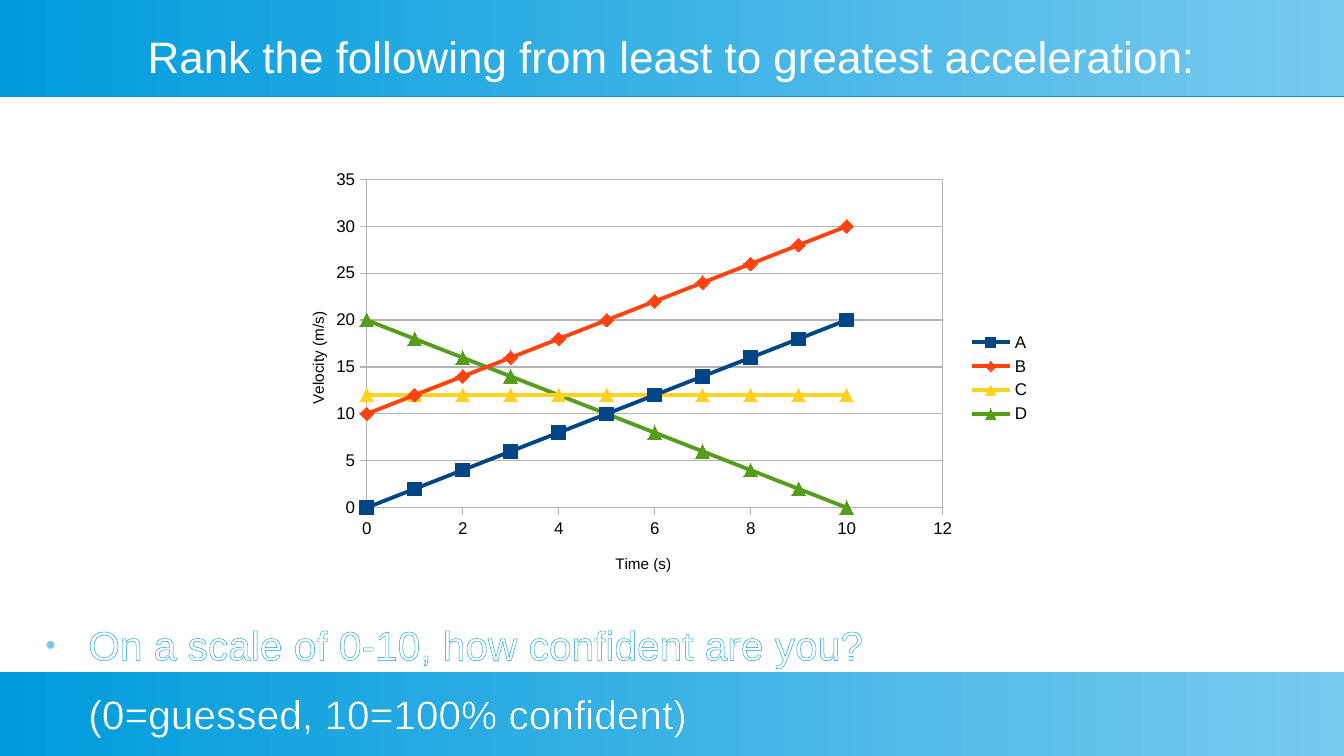
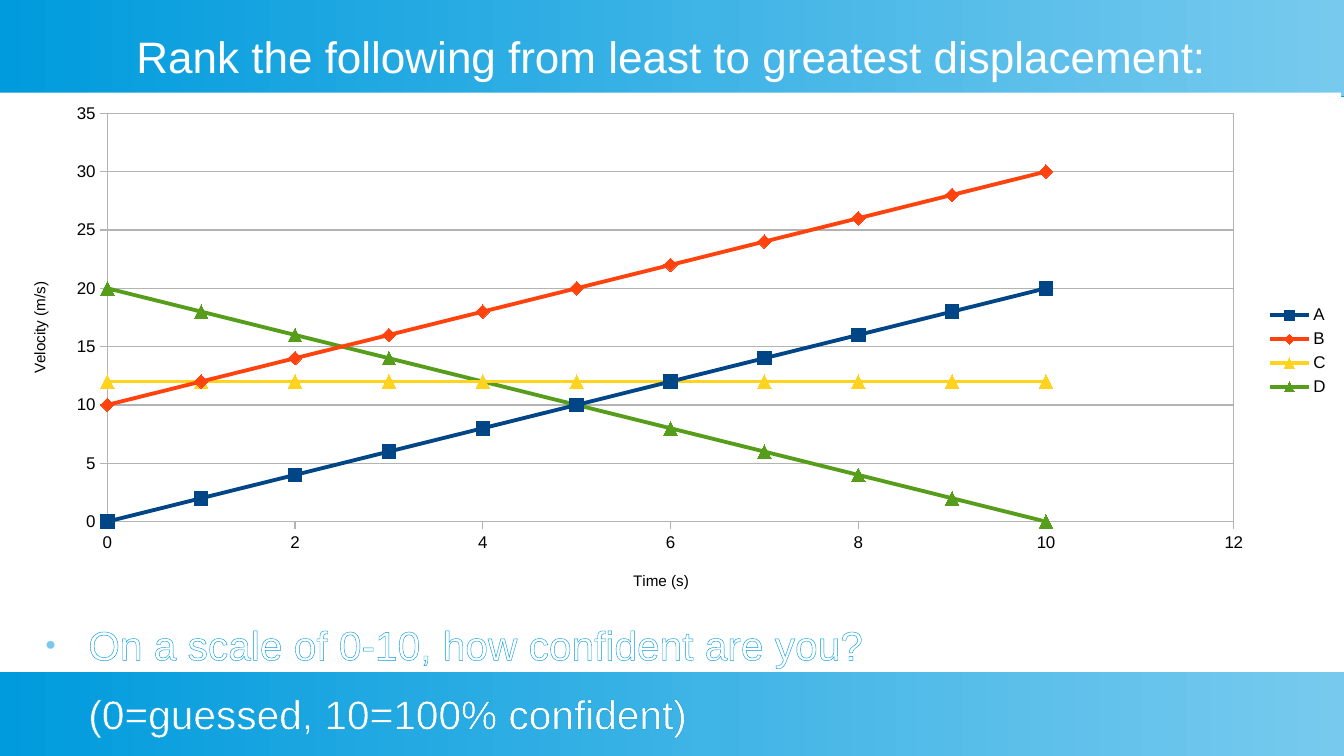
from lxml import etree
from pptx import Presentation
from pptx.chart.data import XyChartData
from pptx.dml.color import RGBColor
from pptx.enum.chart import (
    XL_CHART_TYPE as ChartType,
    XL_LEGEND_POSITION as LegendPosition,
    XL_MARKER_STYLE as Marker,
    XL_TICK_MARK as TickMark,
)
from pptx.enum.shapes import MSO_SHAPE as ShapeType
from pptx.enum.text import MSO_ANCHOR as Anchor, MSO_AUTO_SIZE as AutoSize, PP_ALIGN as Align
from pptx.oxml import parse_xml
from pptx.oxml.ns import nsdecls, qn
from pptx.util import Cm, Pt

FONT = "Arial"
BLUE, SKY, WHITE, BLACK, GREY = "009BDD", "77CAEE", "FFFFFF", "000000", "B3B3B3"
WIDTH, HEIGHT = 28, 15.75

TIMES = range(11)
# name, start velocity, acceleration, colour, marker
MOTIONS = [
    ("A", 0, 2, "004586", Marker.SQUARE),
    ("B", 10, 2, "FF420E", Marker.DIAMOND),
    ("C", 12, 0, "FFD320", Marker.TRIANGLE),
    ("D", 20, -2, "579D1C", Marker.TRIANGLE),
]

# Boxes are in cm; plot and axis title places are fractions of the chart.
RANKINGS = [
    {"quantity": "acceleration", "box": (5.72, 3.38, 16, 9),
     "plot": (0.12, 0.04, 0.75, 0.76), "time": (0.44, 0.9), "velocity": (0.04, 0.34)},
    {"quantity": "displacement", "box": (0, 1.93, 27.94, 10.77),
     "plot": (0.08, 0.04, 0.84, 0.79), "time": (0.47, 0.92), "velocity": (0.02, 0.36)},
]


def rgb(color):
    return RGBColor.from_string(color)


def style_font(font, size, color):
    font.name = FONT
    font.size = Pt(size)
    font.bold = False
    font.color.rgb = rgb(color)


def set_box(shape, left, top, width, height):
    shape.left, shape.top = Cm(left), Cm(top)
    shape.width, shape.height = Cm(width), Cm(height)


def set_chart_layout(element, index, places):
    """Place a chart part by fractions of the chart: x, y and optionally w, h."""
    for layout in element.findall(qn("c:layout")):
        element.remove(layout)
    target = '<c:layoutTarget val="inner"/>' if len(places) == 4 else ""
    modes = "".join(f'<c:{name}Mode val="edge"/>' for name in "xy")
    values = "".join(f'<c:{name} val="{value}"/>' for name, value in zip("xywh", places))
    element.insert(index, parse_xml(
        f'<c:layout {nsdecls("c")}><c:manualLayout>{target}{modes}{values}'
        "</c:manualLayout></c:layout>"))


class Deck:
    def __init__(self):
        self.presentation = Presentation()
        self.presentation.slide_width = Cm(WIDTH)
        self.presentation.slide_height = Cm(HEIGHT)
        self.slide = None

    def add_slide(self):
        first = self.slide is None
        self.slide = self.presentation.slides.add_slide(self.presentation.slide_layouts[1])
        if first:
            self.add_master_band(0, 2, 101)
            self.add_master_band(14, HEIGHT - 14, 102)

    def add_master_band(self, top, height, shape_id):
        """Draw a band and move it to the master, behind its placeholders."""
        band = self.slide.shapes.add_shape(
            ShapeType.RECTANGLE, 0, Cm(top), Cm(WIDTH), Cm(height))
        band.line.fill.background()
        band.fill.gradient()
        band.fill.gradient_angle = 0
        for stop, color in zip(band.fill.gradient_stops, (BLUE, SKY)):
            stop.color.rgb = rgb(color)
        band.shadow.inherit = False
        effects = band._element.spPr.find(qn("a:effectLst"))
        shadow = etree.SubElement(
            effects, qn("a:outerShdw"), dist=str(Pt(0.9)), dir="5400000", rotWithShape="0")
        etree.SubElement(shadow, qn("a:srgbClr"), val=BLUE)
        band._element.nvSpPr.cNvPr.set("id", str(shape_id))
        self.presentation.slide_master.shapes._spTree.insert(2 + shape_id - 101, band._element)

    def prepare_text(self, placeholder, box, anchor):
        set_box(placeholder, *box)
        frame = placeholder.text_frame
        frame.margin_left = frame.margin_top = frame.margin_right = frame.margin_bottom = 0
        frame.word_wrap = True
        frame.auto_size = AutoSize.NONE
        frame.vertical_anchor = anchor
        return frame

    def add_title(self, text):
        frame = self.prepare_text(self.slide.shapes.title, (1, 0.13, 26, 2.06), Anchor.MIDDLE)
        frame.text = text
        paragraph = frame.paragraphs[0]
        paragraph.alignment = Align.CENTER
        style_font(paragraph.runs[0].font, 26, WHITE)

    def add_question(self, question, scale):
        top = 12.91
        frame = self.prepare_text(
            self.slide.placeholders[1], (0.64, top, 26, HEIGHT - top), Anchor.TOP)
        frame.text = f"{question}\n{scale}"
        for number, paragraph in enumerate(frame.paragraphs):
            paragraph.space_before = Pt(12 if number else 0)
            properties = paragraph._p.get_or_add_pPr()
            properties.set("marL", str(Cm(1.2)))
            properties.set("indent", str(0 if number else -Cm(0.9)))
            if number:
                etree.SubElement(properties, qn("a:buNone"))
            else:
                color = etree.SubElement(properties, qn("a:buClr"))
                etree.SubElement(color, qn("a:srgbClr"), val=SKY)
                etree.SubElement(properties, qn("a:buSzPct"), val="45000")
                etree.SubElement(properties, qn("a:buChar"), char="●")
            run = paragraph.runs[0]
            style_font(run.font, 24, WHITE)
            run._r.get_or_add_rPr().insert(0, parse_xml(
                f'<a:ln {nsdecls("a")} w="{Pt(0.75)}"><a:solidFill>'
                f'<a:srgbClr val="{BLUE}"/></a:solidFill></a:ln>'))

    def add_velocity_chart(self, box, plot, time, velocity):
        data = XyChartData()
        for name, start, acceleration, _, _ in MOTIONS:
            series = data.add_series(name)
            for second in TIMES:
                series.add_data_point(second, start + acceleration * second)
        chart = self.slide.shapes.add_chart(
            ChartType.XY_SCATTER_LINES, *map(Cm, box), data).chart
        chart.has_title = False
        style_font(chart.font, 10, BLACK)
        chart.plots[0].vary_by_categories = False
        chart.has_legend = True
        chart.legend.position = LegendPosition.RIGHT
        chart.legend.include_in_layout = False
        style_font(chart.legend.font, 10, BLACK)

        self.style_axis(chart.category_axis, "Time (s)", 12, 2, time)
        self.style_axis(chart.value_axis, "Velocity (m/s)", 35, 5, velocity)
        chart.category_axis.has_major_gridlines = False
        chart.value_axis.has_major_gridlines = True
        self.style_line(chart.value_axis.major_gridlines.format.line, GREY, 0)
        for series, (_, _, _, color, marker) in zip(chart.plots[0].series, MOTIONS):
            series.smooth = False
            self.style_line(series.format.line, color, 2.27)
            series.marker.style = marker
            series.marker.size = 8
            series.marker.format.fill.solid()
            series.marker.format.fill.fore_color.rgb = rgb(color)
            self.style_line(series.marker.format.line, color, 0)

        chart_element = chart._chartSpace.find(qn("c:chart"))
        plot_area = chart_element.find(qn("c:plotArea"))
        set_chart_layout(plot_area, 0, plot)
        plot_area.append(parse_xml(
            f'<c:spPr {nsdecls("c", "a")}><a:noFill/><a:ln w="0"><a:solidFill>'
            f'<a:srgbClr val="{GREY}"/></a:solidFill></a:ln></c:spPr>'))
        chart_element.addnext(parse_xml(
            f'<c:spPr {nsdecls("c", "a")}><a:solidFill><a:srgbClr val="{WHITE}"/>'
            "</a:solidFill><a:ln><a:noFill/></a:ln></c:spPr>"))

    def style_line(self, line, color, width):
        line.color.rgb = rgb(color)
        line.width = Pt(width)

    def style_axis(self, axis, title, maximum, step, title_place):
        axis.minimum_scale, axis.maximum_scale, axis.major_unit = 0, maximum, step
        axis.major_tick_mark, axis.minor_tick_mark = TickMark.OUTSIDE, TickMark.NONE
        axis.tick_labels.number_format = "General"
        axis.tick_labels.number_format_is_linked = False
        style_font(axis.tick_labels.font, 10, BLACK)
        self.style_line(axis.format.line, GREY, 0)
        axis.has_title = True
        frame = axis.axis_title.text_frame
        frame.text = title
        style_font(frame.paragraphs[0].runs[0].font, 9, BLACK)
        set_chart_layout(axis.axis_title._element, 1, title_place)


def main():
    deck = Deck()
    for ranking in RANKINGS:
        deck.add_slide()
        deck.add_title(f"Rank the following from least to greatest {ranking['quantity']}:")
        deck.add_question("On a scale of 0-10, how confident are you?",
                          "(0=guessed, 10=100% confident)")
        deck.add_velocity_chart(
            ranking["box"], ranking["plot"], ranking["time"], ranking["velocity"])
    deck.presentation.save("out.pptx")


if __name__ == "__main__":
    main()
